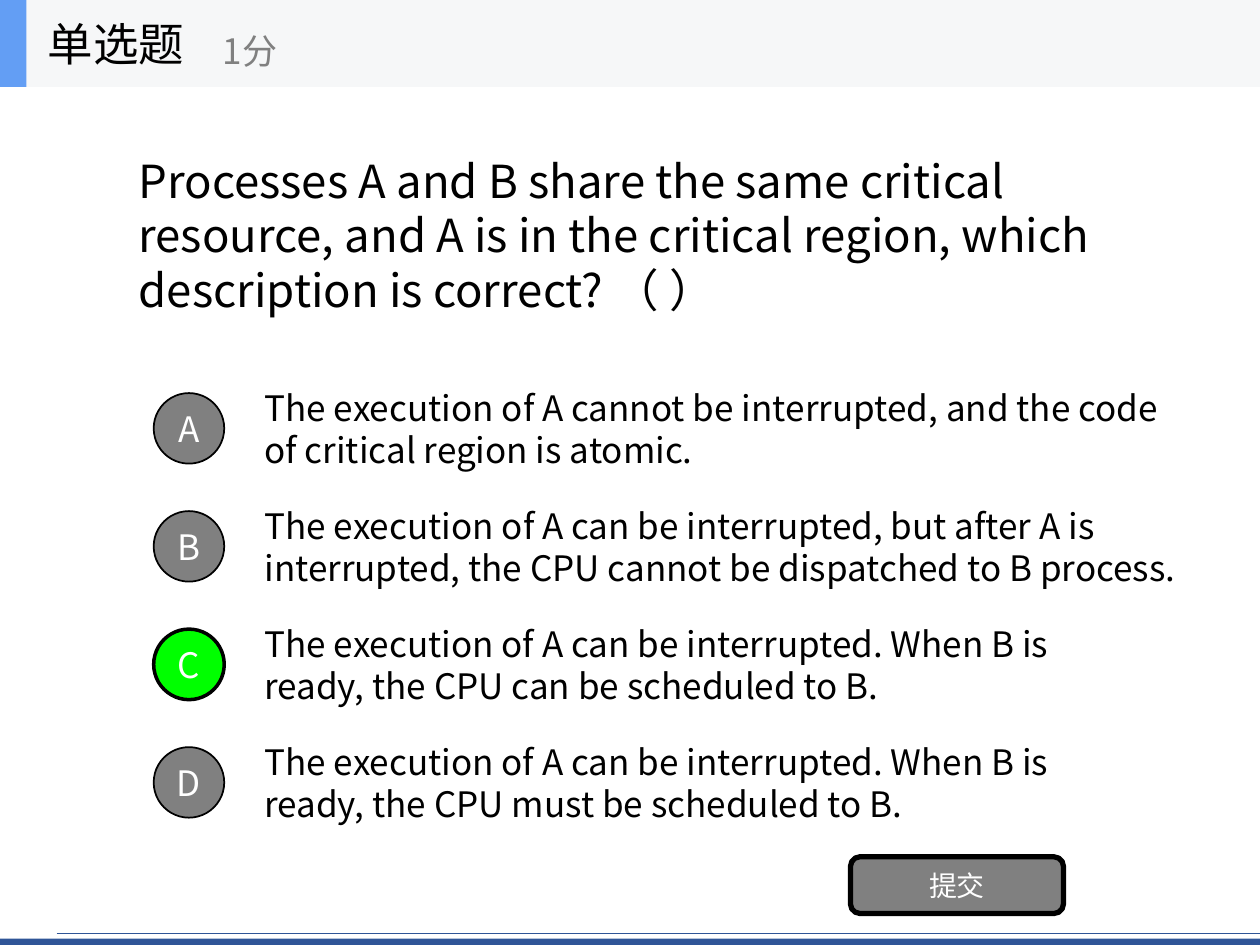
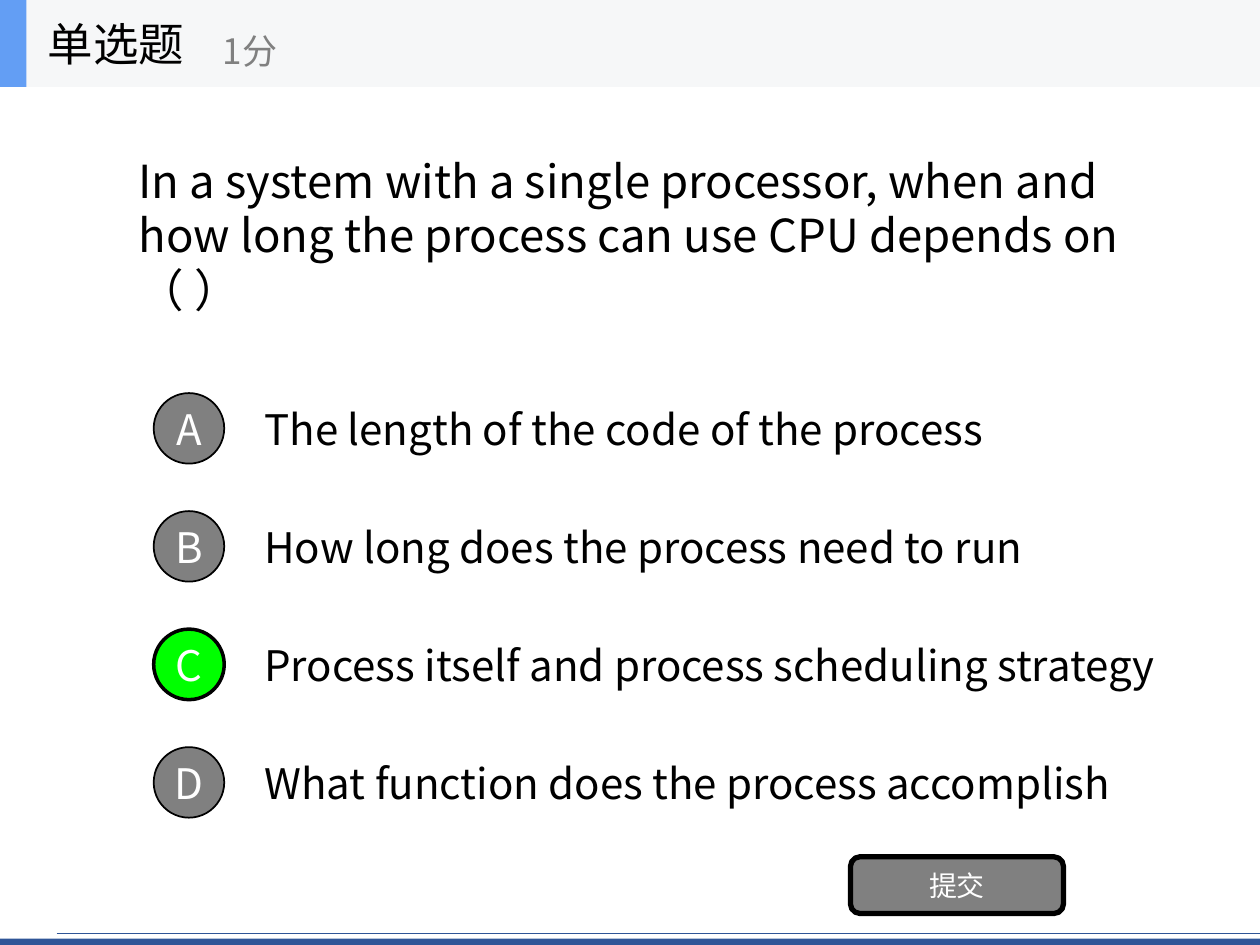
from lxml import etree
from pptx import Presentation
from pptx.dml.color import RGBColor
from pptx.enum import shapes, text
from pptx.oxml import ns
from pptx.util import Inches, Pt

HEADING = "单选题"
SCORE = "1分"
SUBMIT = "提交"
QUESTIONS = [
    {
        "question": "Processes A and B share the same critical resource, and A is in the "
                    "critical region, which description is correct? （ ）",
        "size": 20,
        "answer": "C",
        "options": [
            ("A", 7.49, "The execution of A cannot be interrupted, and the code of critical region is atomic."),
            ("B", 7.49, "The execution of A can be interrupted, but after A is interrupted, "
                        "the CPU cannot be dispatched to B process."),
            ("C", 7, "The execution of A can be interrupted. When B is ready, the CPU can be scheduled to B."),
            ("D", 7, "The execution of A can be interrupted. When B is ready, the CPU must be scheduled to B."),
        ],
    },
    {
        "question": "In a system with a single processor, when and how long the process can use "
                    "CPU depends on （ ）",
        "size": 24,
        "answer": "C",
        "options": [
            ("A", 7, "The length of the code of the process"),
            ("B", 7.45, "How long does the process need to run"),
            ("C", 8, "Process itself and process scheduling strategy"),
            ("D", 8, "What function does the process accomplish"),
        ],
    },
]

FONT = "Noto Sans CJK SC"
BLACK = RGBColor(0x00, 0x00, 0x00)
WHITE = RGBColor(0xFF, 0xFF, 0xFF)
GREY = RGBColor(0x80, 0x80, 0x80)
GREEN = RGBColor(0x00, 0xFF, 0x00)
NAVY = RGBColor(0x2F, 0x55, 0x97)
BAND = RGBColor(0xF6, 0xF7, 0xF8)
ACCENT = RGBColor(0x63, 0x9E, 0xF4)

WIDTH, HEIGHT = 10, 7.5
BAND_HEIGHT = 0.69
OPTION_TOP, OPTION_LAST, OPTION_HEIGHT = 3.05, 5.86, 0.7
BADGE = 0.56


def write(box, words, size, color, align=text.PP_ALIGN.LEFT):
    frame = box.text_frame
    frame.word_wrap = True
    frame.auto_size = text.MSO_AUTO_SIZE.NONE
    frame.vertical_anchor = text.MSO_ANCHOR.MIDDLE
    frame.text = words
    para = frame.paragraphs[0]
    para.alignment = align
    para.font.size = Pt(size)
    para.font.name = FONT
    para.font.color.rgb = color
    latin = para.font._element.find(ns.qn("a:latin"))
    east_asian = etree.Element(ns.qn("a:ea"), typeface=FONT)
    latin.addnext(east_asian)


def add_text(page, place, words, size, color=BLACK):
    box = page.shapes.add_textbox(*map(Inches, place))
    write(box, words, size, color)


def add_shape(page, kind, place, fill, border=0):
    shape = page.shapes.add_shape(kind, *map(Inches, place))
    shape.shadow.inherit = False
    shape.fill.solid()
    shape.fill.fore_color.rgb = fill
    if border:
        shape.line.color.rgb = BLACK
        shape.line.width = Pt(border)
    else:
        shape.line.fill.background()
    return shape


def add_button(page, kind, place, fill, border, label, size):
    button = add_shape(page, kind, place, fill, border)
    frame = button.text_frame
    frame.margin_left = frame.margin_right = frame.margin_top = frame.margin_bottom = 0
    write(button, label, size, WHITE, text.PP_ALIGN.CENTER)


def add_frame(page):
    rectangle = shapes.MSO_SHAPE.RECTANGLE
    add_shape(page, rectangle, (0, HEIGHT - 0.05, WIDTH, 0.05), NAVY)
    rule = page.shapes.add_connector(
        shapes.MSO_CONNECTOR.STRAIGHT, *map(Inches, (0.45, 7.41, WIDTH, 7.41)))
    rule.line.color.rgb = NAVY
    rule.line.width = Pt(0.5)
    etree.SubElement(rule._element.spPr, ns.qn("a:effectLst"))
    add_shape(page, rectangle, (0, 0, WIDTH, BAND_HEIGHT), BAND)
    add_shape(page, rectangle, (0, 0, 0.21, BAND_HEIGHT), ACCENT)
    add_text(page, (0.28, 0, 2.08, BAND_HEIGHT), HEADING, 26)
    add_text(page, (1.67, 0.12, 2.5, 0.56), SCORE, 20, GREY)
    add_button(page, shapes.MSO_SHAPE.ROUNDED_RECTANGLE, (6.75, 6.8, 1.69, 0.45),
               GREY, 3, SUBMIT, 16)


def add_question(deck, item):
    page = deck.slides.add_slide(deck.slide_layouts[5])
    title = page.shapes.title
    title.left, title.top, title.width, title.height = map(Inches, (1, BAND_HEIGHT, 8, 2.34))
    write(title, item["question"], 26, BLACK)
    add_frame(page)
    pitch = (OPTION_LAST - OPTION_TOP) / (len(item["options"]) - 1)
    for row, (letter, width, words) in enumerate(item["options"]):
        top = OPTION_TOP + row * pitch
        add_text(page, (2, top, width, OPTION_HEIGHT), words, item["size"])
        correct = letter == item["answer"]
        badge_place = (1.22, top + (OPTION_HEIGHT - BADGE) / 2, BADGE, BADGE)
        add_button(page, shapes.MSO_SHAPE.OVAL, badge_place, GREEN if correct else GREY,
                   2 if correct else 1, letter, item["size"])


def main():
    deck = Presentation()
    deck.slide_width, deck.slide_height = Inches(WIDTH), Inches(HEIGHT)
    for item in QUESTIONS:
        add_question(deck, item)
    deck.save("out.pptx")


if __name__ == "__main__":
    main()
